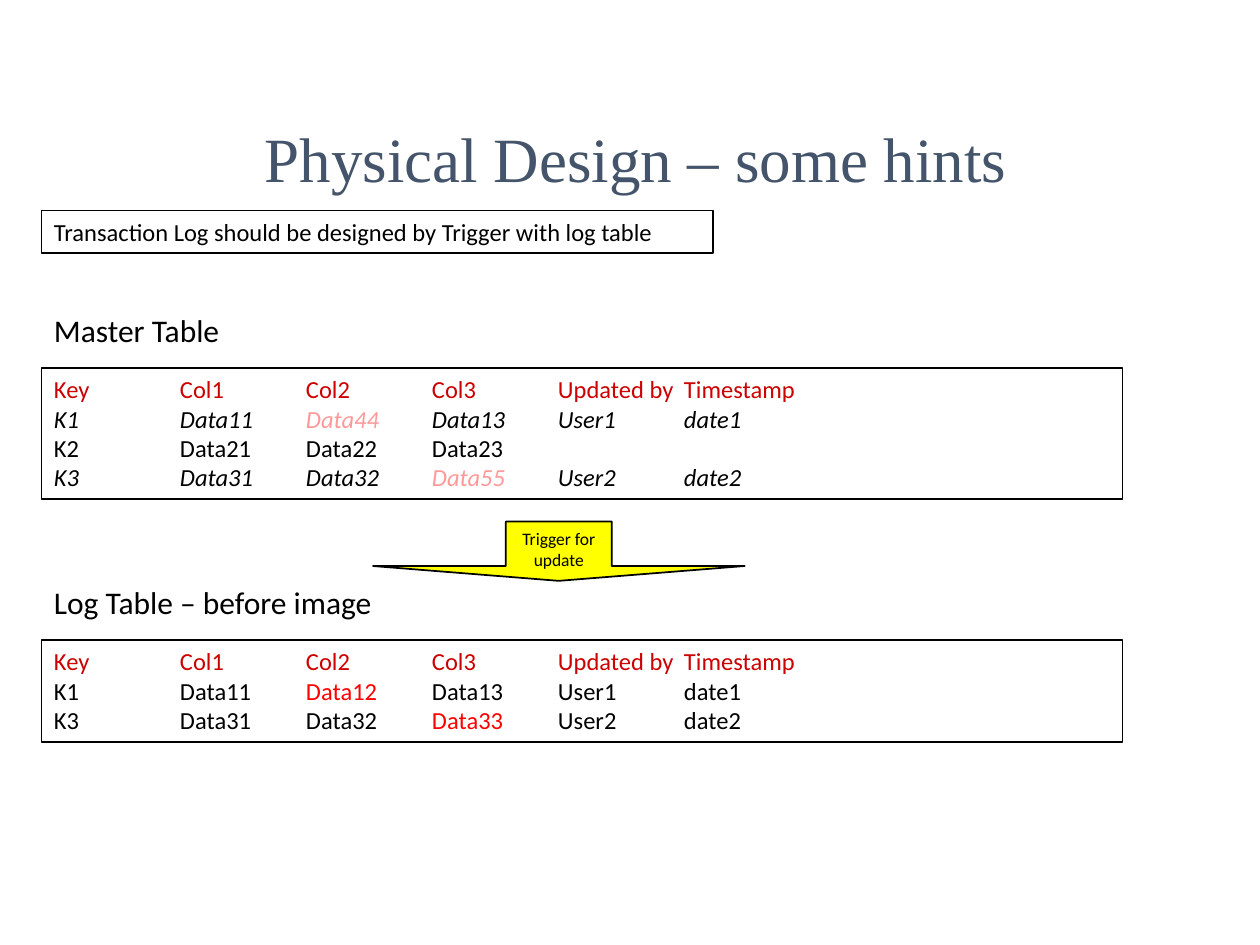
from lxml import etree
from pptx import Presentation
from pptx.dml.color import RGBColor
from pptx.enum.shapes import MSO_SHAPE
from pptx.enum.text import MSO_ANCHOR, PP_ALIGN
from pptx.oxml.ns import qn
from pptx.util import Inches, Pt

RECTANGLE = MSO_SHAPE.RECTANGLE
DOWN_ARROW = MSO_SHAPE.DOWN_ARROW
TOP, MIDDLE = MSO_ANCHOR.TOP, MSO_ANCHOR.MIDDLE
LEFT, CENTER = PP_ALIGN.LEFT, PP_ALIGN.CENTER

BLACK = RGBColor(0x00, 0x00, 0x00)
SLATE = RGBColor(0x44, 0x54, 0x6A)
DARK_RED = RGBColor(0xCC, 0x00, 0x00)
RED = RGBColor(0xFF, 0x00, 0x00)
PINK = RGBColor(0xFF, 0x99, 0x99)
YELLOW = RGBColor(0xFF, 0xFF, 0x00)

BODY_FONT = "Calibri"
TITLE_FONT = "Times New Roman"
MARGIN = 0.33
TABLE_WIDTH = 8.58
COLUMN_WIDTH = 1

HEADER = ["Key", "Col1", "Col2", "Col3", "Updated by", "Timestamp"]
MASTER_ROWS = [
    (["K1", "Data11", "Data44", "Data13", "User1", "date1"], 2, True),
    (["K2", "Data21", "Data22", "Data23"], None, False),
    (["K3", "Data31", "Data32", "Data55", "User2", "date2"], 3, True),
]
LOG_ROWS = [
    (["K1", "Data11", "Data12", "Data13", "User1", "date1"], 2, False),
    (["K3", "Data31", "Data32", "Data33", "User2", "date2"], 3, False),
]


def set_font(paragraph, size, color=BLACK, name=BODY_FONT):
    paragraph.font.size = Pt(size)
    paragraph.font.name = name
    paragraph.font.color.rgb = color


def set_tab_stops(paragraph):
    tab_list = etree.Element(qn("a:tabLst"))
    for column in range(1, len(HEADER)):
        position = Inches(column * COLUMN_WIDTH)
        etree.SubElement(tab_list, qn("a:tab"), pos=str(position), algn="l")
    paragraph._p.get_or_add_pPr().insert(0, tab_list)


def write_text(shape, text, size, color=BLACK, name=BODY_FONT, align=LEFT, anchor=TOP):
    frame = shape.text_frame
    frame.word_wrap = True
    frame.vertical_anchor = anchor
    paragraph = frame.paragraphs[0]
    paragraph.text = text
    paragraph.alignment = align
    set_font(paragraph, size, color, name)


def add_label(slide, box, text, size, **style):
    label = slide.shapes.add_textbox(*map(Inches, box))
    write_text(label, text, size, **style)


def add_outlined_shape(slide, kind, box, fill=None):
    shape = slide.shapes.add_shape(kind, *map(Inches, box))
    shape.shadow.inherit = False
    if fill is None:
        shape.fill.background()
    else:
        shape.fill.solid()
        shape.fill.fore_color.rgb = fill
    shape.line.color.rgb = BLACK
    shape.line.width = Pt(1)
    return shape


def add_row(frame, cells, marked, italic, mark_color):
    paragraph = frame.add_paragraph()
    paragraph.alignment = LEFT
    set_font(paragraph, 14)
    paragraph.font.italic = italic
    if marked is None:
        paragraph.add_run().text = "\t".join(cells)
        return
    paragraph.add_run().text = "\t".join(cells[:marked]) + "\t"
    marked_run = paragraph.add_run()
    marked_run.text = cells[marked]
    marked_run.font.color.rgb = mark_color
    paragraph.add_run().text = "\t" + "\t".join(cells[marked + 1:])


def add_tabbed_table(slide, top, height, rows, mark_color):
    shape = add_outlined_shape(slide, RECTANGLE, (MARGIN, top, TABLE_WIDTH, height))
    write_text(shape, "\t".join(HEADER), 14, DARK_RED)
    for cells, marked, italic in rows:
        add_row(shape.text_frame, cells, marked, italic, mark_color)
    for paragraph in shape.text_frame.paragraphs:
        set_tab_stops(paragraph)


def add_trigger_arrow(slide):
    arrow = add_outlined_shape(slide, DOWN_ARROW, (2.96, 4.14, 2.95, 0.47), YELLOW)
    arrow.adjustments[0] = 0.285
    arrow.adjustments[1] = 0.25
    write_text(arrow, "Trigger for update", 10, align=CENTER, anchor=MIDDLE)


def main():
    presentation = Presentation()
    presentation.slide_width = Inches(10)
    presentation.slide_height = Inches(7.5)
    slide = presentation.slides.add_slide(presentation.slide_layouts[6])

    advice = add_outlined_shape(slide, RECTANGLE, (MARGIN, 1.67, 5.33, 0.34))
    write_text(advice, "Transaction Log should be designed by Trigger with log table", 14)
    add_label(slide, (1.67, 1, 6.75, 0.5), "Physical Design – some hints", 36,
              color=SLATE, name=TITLE_FONT, align=CENTER, anchor=MIDDLE)
    add_tabbed_table(slide, 2.92, 1.04, MASTER_ROWS, PINK)
    add_tabbed_table(slide, 5.08, 0.81, LOG_ROWS, RED)
    add_trigger_arrow(slide)
    add_label(slide, (MARGIN, 2.42, 2.5, 0.43), "Master Table", 18)
    add_label(slide, (MARGIN, 4.58, 2.83, 0.4), "Log Table – before image", 18)

    presentation.save("out.pptx")


if __name__ == "__main__":
    main()
